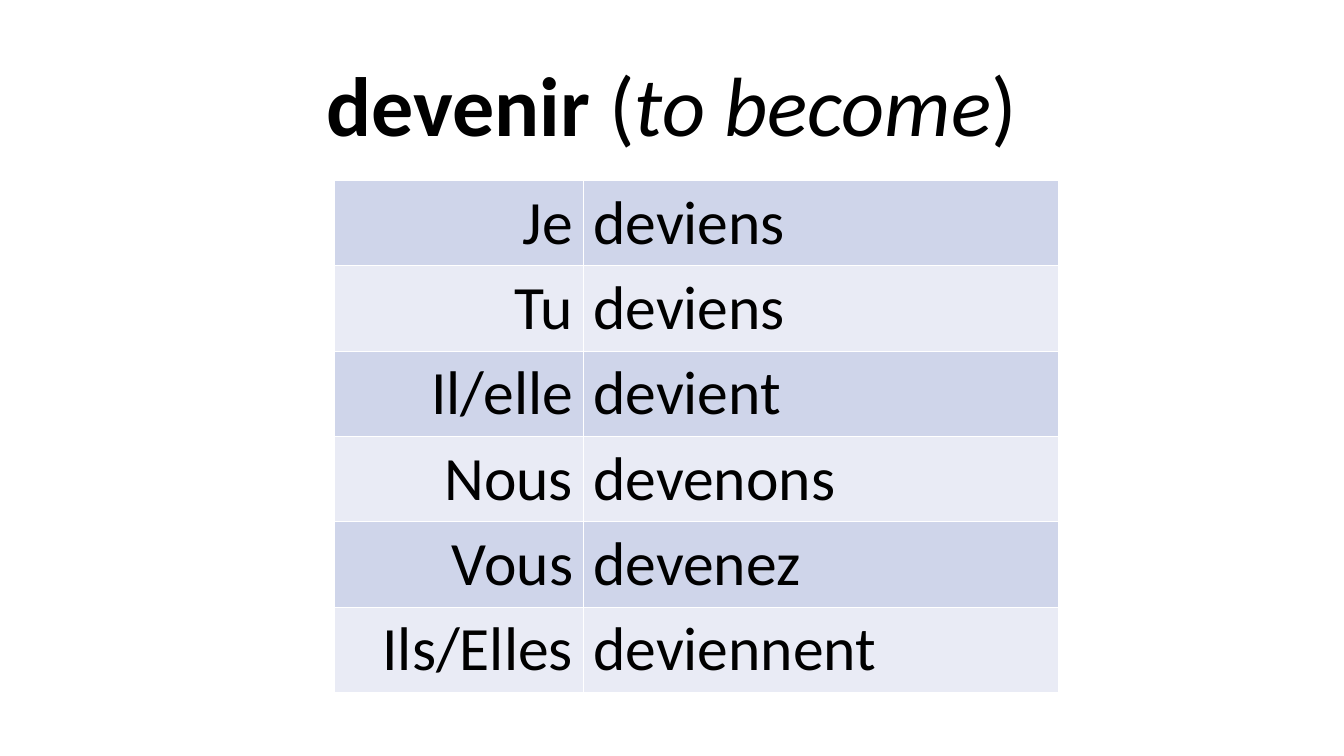
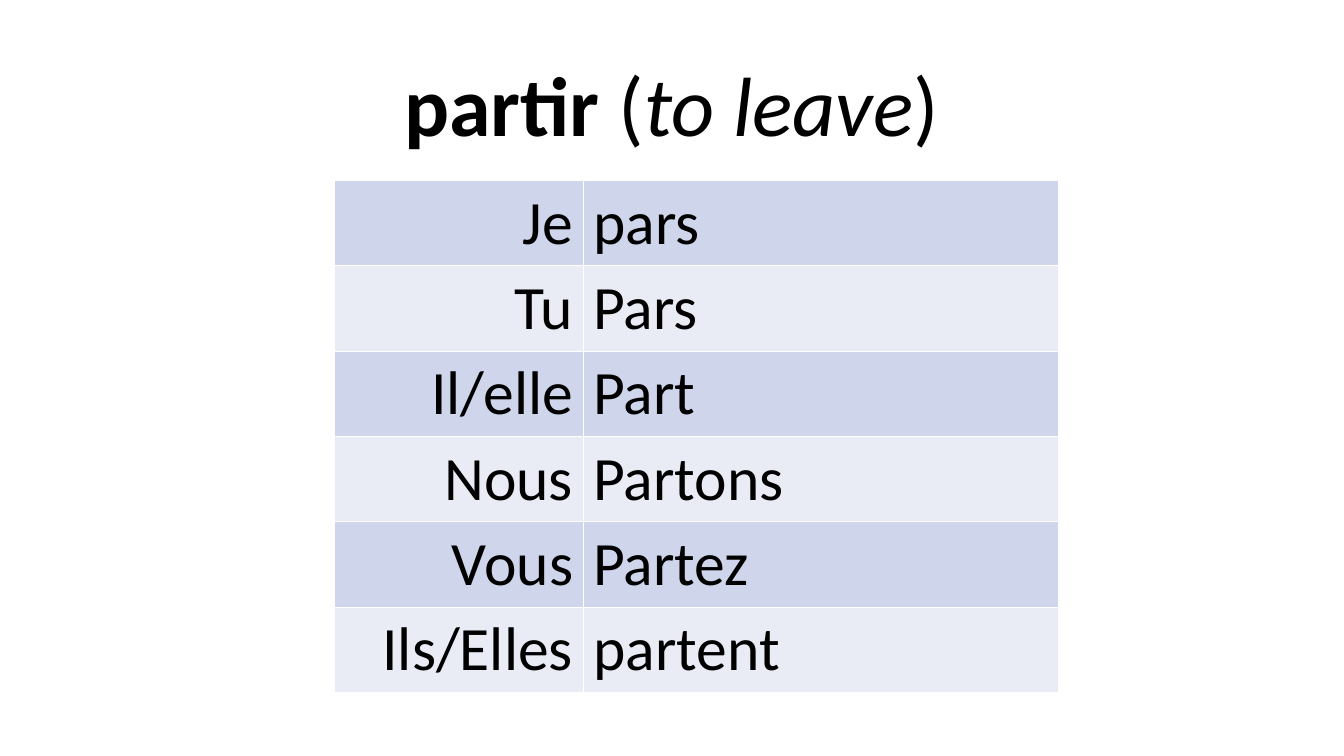
from lxml.etree import SubElement
from pptx import Presentation
from pptx.dml.color import RGBColor
from pptx.enum.text import MSO_ANCHOR, PP_ALIGN
from pptx.oxml.ns import qn
from pptx.util import Cm, Pt

COLORS = {"text": "000000", "border": "FFFFFF", "odd": "CFD5EA", "even": "E9EBF5"}
FONT = "Calibri"
TITLE_BOX = (Cm(4.23), Cm(1.12), Cm(25.4), Cm(2.9))
TABLE_BOX = (Cm(8.43), Cm(4.55), Cm(18.26), Cm(12.9))
PRONOUN_WIDTH = Cm(6.27)
PRONOUNS = ["Je", "Tu", "Il/elle", "Nous", "Vous", "Ils/Elles"]
VERBS = [
    ("devenir", "to become",
     ["deviens", "deviens", "devient", "devenons", "devenez", "deviennent"]),
    ("partir", "to leave",
     ["pars", "Pars", "Part", "Partons", "Partez", "partent"]),
]


def rgb(name):
    return RGBColor.from_string(COLORS[name])


def style_paragraph(p, size, align):
    p.alignment = align
    p.font.name = FONT
    p.font.size = Pt(size)
    p.font.color.rgb = rgb("text")


def add_title(slide, box, verb, meaning):
    tf = slide.shapes.add_textbox(*box).text_frame
    tf.word_wrap = True
    tf.vertical_anchor = MSO_ANCHOR.BOTTOM
    p = tf.paragraphs[0]
    p.line_spacing = 0.9
    style_paragraph(p, 60, PP_ALIGN.CENTER)
    for text, bold, italic in [(verb, True, False), (" (", False, False),
                               (meaning, False, True), (")", False, False)]:
        r = p.add_run()
        r.text = text
        r.font.bold = bold
        r.font.italic = italic


def set_borders(cell):
    tc_pr = cell._tc.get_or_add_tcPr()
    for side in ("a:lnL", "a:lnR", "a:lnT", "a:lnB"):
        ln = SubElement(tc_pr, qn(side), w=str(Pt(1)))
        fill = SubElement(ln, qn("a:solidFill"))
        SubElement(fill, qn("a:srgbClr"), val=COLORS["border"])


def fill_cell(cell, text, align, color):
    set_borders(cell)
    cell.fill.solid()
    cell.fill.fore_color.rgb = rgb(color)
    cell.text = text
    style_paragraph(cell.text_frame.paragraphs[0], 44, align)


def add_conjugation(slide, box, forms):
    table = slide.shapes.add_table(len(forms), 2, *box).table
    table.first_row = False
    table.horz_banding = False
    table.columns[0].width = PRONOUN_WIDTH
    table.columns[1].width = box[2] - PRONOUN_WIDTH
    for i, (pronoun, form) in enumerate(zip(PRONOUNS, forms)):
        color = "even" if i % 2 else "odd"
        fill_cell(table.cell(i, 0), pronoun, PP_ALIGN.RIGHT, color)
        fill_cell(table.cell(i, 1), form, PP_ALIGN.LEFT, color)


def add_verb_slide(prs, verb, meaning, forms):
    slide = prs.slides.add_slide(prs.slide_layouts[6])
    add_title(slide, TITLE_BOX, verb, meaning)
    add_conjugation(slide, TABLE_BOX, forms)


def main():
    prs = Presentation()
    prs.slide_width = Cm(33.87)
    prs.slide_height = Cm(19.05)
    for verb, meaning, forms in VERBS:
        add_verb_slide(prs, verb, meaning, forms)
    prs.save("out.pptx")


if __name__ == "__main__":
    main()
